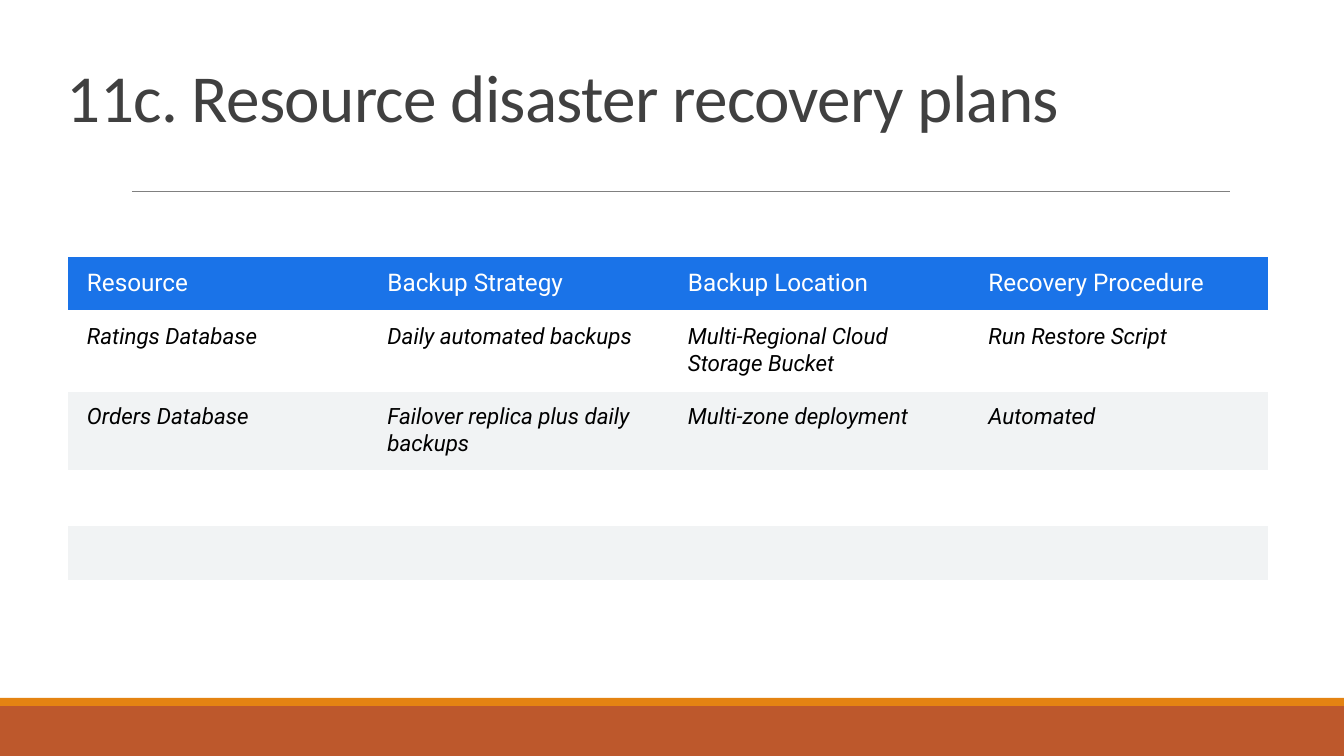
from dataclasses import dataclass

from lxml.etree import SubElement
from pptx import Presentation
from pptx.dml.color import RGBColor
from pptx.enum.shapes import MSO_CONNECTOR, MSO_SHAPE
from pptx.enum.text import MSO_ANCHOR, MSO_AUTO_SIZE, PP_ALIGN
from pptx.oxml.ns import qn
from pptx.slide import Slide
from pptx.table import _Cell
from pptx.text.text import _Paragraph
from pptx.util import Emu, Pt

EMU_PER_PX = 914400 / 67.2


@dataclass(frozen=True)
class Theme:
    title_font: str = "Calibri"
    table_font: str = "Roboto"
    title_size: int = 72
    header_size: int = 26
    body_size: int = 24
    title: str = "404040"
    header: str = "1A73E8"
    band: str = "F1F3F4"
    white: str = "FFFFFF"
    black: str = "000000"
    rule: str = "808080"
    orange: str = "E48312"
    rust: str = "BD582C"


@dataclass(frozen=True)
class Box:
    left: int
    top: int
    width: int
    height: int


@dataclass(frozen=True)
class Bar:
    box: Box
    color: str


@dataclass(frozen=True)
class Row:
    height: int
    fill: str | None = None
    texts: tuple[str, ...] = ("", "", "", "")


THEME = Theme()
BARS = [
    Bar(Box(0, 706, 1344, 50), THEME.rust),
    Bar(Box(0, 698, 1344, 8), THEME.orange),
]
ROWS = [
    Row(55, THEME.header,
        ("Resource", "Backup Strategy", "Backup Location", "Recovery Procedure")),
    Row(80, None,
        ("Ratings Database", "Daily automated backups",
         "Multi-Regional Cloud Storage Bucket", "Run Restore Script")),
    Row(80, THEME.band,
        ("Orders Database", "Failover replica plus daily backups",
         "Multi-zone deployment", "Automated")),
    Row(54),
    Row(56, THEME.band),
    Row(56),
]


def px(length: int) -> Emu:
    return Emu(round(length * EMU_PER_PX))


def place(box: Box) -> tuple[Emu, Emu, Emu, Emu]:
    return px(box.left), px(box.top), px(box.width), px(box.height)


def rgb(color: str) -> RGBColor:
    return RGBColor.from_string(color)


def add_run(paragraph: _Paragraph, text: str, font: str, size: int,
            color: str, italic: bool = False):
    run = paragraph.add_run()
    run.text = text
    run.font.name = font
    run.font.size = Pt(size)
    run.font.color.rgb = rgb(color)
    run.font.italic = italic
    return run


def add_bar(slide: Slide, bar: Bar) -> None:
    shape = slide.shapes.add_shape(MSO_SHAPE.RECTANGLE, *place(bar.box))
    shape.shadow.inherit = False
    shape.fill.solid()
    shape.fill.fore_color.rgb = rgb(bar.color)
    shape.line.fill.background()


def add_rule(slide: Slide, left: int, right: int, top: int) -> None:
    rule = slide.shapes.add_connector(
        MSO_CONNECTOR.STRAIGHT, px(left), px(top), px(right), px(top))
    rule.line.color.rgb = rgb(THEME.rule)
    rule.line.width = Pt(0.5)
    SubElement(rule._element.spPr, qn("a:effectLst"))


def set_title(slide: Slide, text: str, box: Box) -> None:
    title = slide.shapes.title
    title.left, title.top, title.width, title.height = place(box)
    frame = title.text_frame
    frame.margin_left = frame.margin_top = frame.margin_bottom = 0
    frame.margin_right = px(13)
    frame.vertical_anchor = MSO_ANCHOR.TOP
    frame.auto_size = MSO_AUTO_SIZE.NONE
    frame.word_wrap = True
    paragraph = frame.paragraphs[0]
    paragraph.alignment = PP_ALIGN.LEFT
    paragraph.line_spacing = 0.85
    run = add_run(paragraph, text, THEME.title_font, THEME.title_size, THEME.title)
    run.font._element.set("spc", "-80")


def set_borders(cell: _Cell, visible_sides: str) -> None:
    """Draw white borders on the named sides and none on the others."""
    properties = cell._tc.get_or_add_tcPr()
    for index, side in enumerate("LRTB"):
        line = SubElement(properties, qn(f"a:ln{side}"), w=str(Pt(3)))
        properties.remove(line)
        properties.insert(index, line)
        if side in visible_sides:
            fill = SubElement(line, qn("a:solidFill"))
            SubElement(fill, qn("a:srgbClr"), val=THEME.white)
        else:
            SubElement(line, qn("a:noFill"))


def fill_cell(cell: _Cell, text: str, fill: str | None, is_header: bool) -> None:
    cell.margin_left = px(20)
    cell.margin_top = cell.margin_right = cell.margin_bottom = px(13)
    if fill:
        cell.fill.solid()
        cell.fill.fore_color.rgb = rgb(fill)
    else:
        cell.fill.background()
    if text:
        size = THEME.header_size if is_header else THEME.body_size
        color = THEME.white if is_header else THEME.black
        run = add_run(cell.text_frame.paragraphs[0], text, THEME.table_font,
                      size, color, italic=not is_header)
        run.font.bold = False


def add_plan_table(slide: Slide, rows: list[Row], left: int, top: int, width: int) -> None:
    column_count = len(rows[0].texts)
    box = Box(left, top, width, sum(row.height for row in rows))
    table = slide.shapes.add_table(len(rows), column_count, *place(box)).table
    for column in table.columns:
        column.width = px(width) // column_count
    for row_index, row in enumerate(rows):
        table.rows[row_index].height = px(row.height)
        for column_index, text in enumerate(row.texts):
            cell = table.cell(row_index, column_index)
            fill_cell(cell, text, row.fill, is_header=row_index == 0)
            outer_sides = {0: "L", column_count - 1: "R"}.get(column_index, "")
            set_borders(cell, "TB" + outer_sides)


def main() -> None:
    presentation = Presentation()
    presentation.slide_width = px(1344)
    presentation.slide_height = px(756)
    slide = presentation.slides.add_slide(presentation.slide_layouts[5])

    # Footer bars and the rule below the title
    for bar in BARS:
        add_bar(slide, bar)
    add_rule(slide, left=132, right=1230, top=191)

    # Title and recovery plans
    set_title(slide, "11c. Resource disaster recovery plans", Box(67, 68, 1156, 147))
    add_plan_table(slide, ROWS, left=67, top=256, width=1202)

    presentation.save("out.pptx")


if __name__ == "__main__":
    main()
